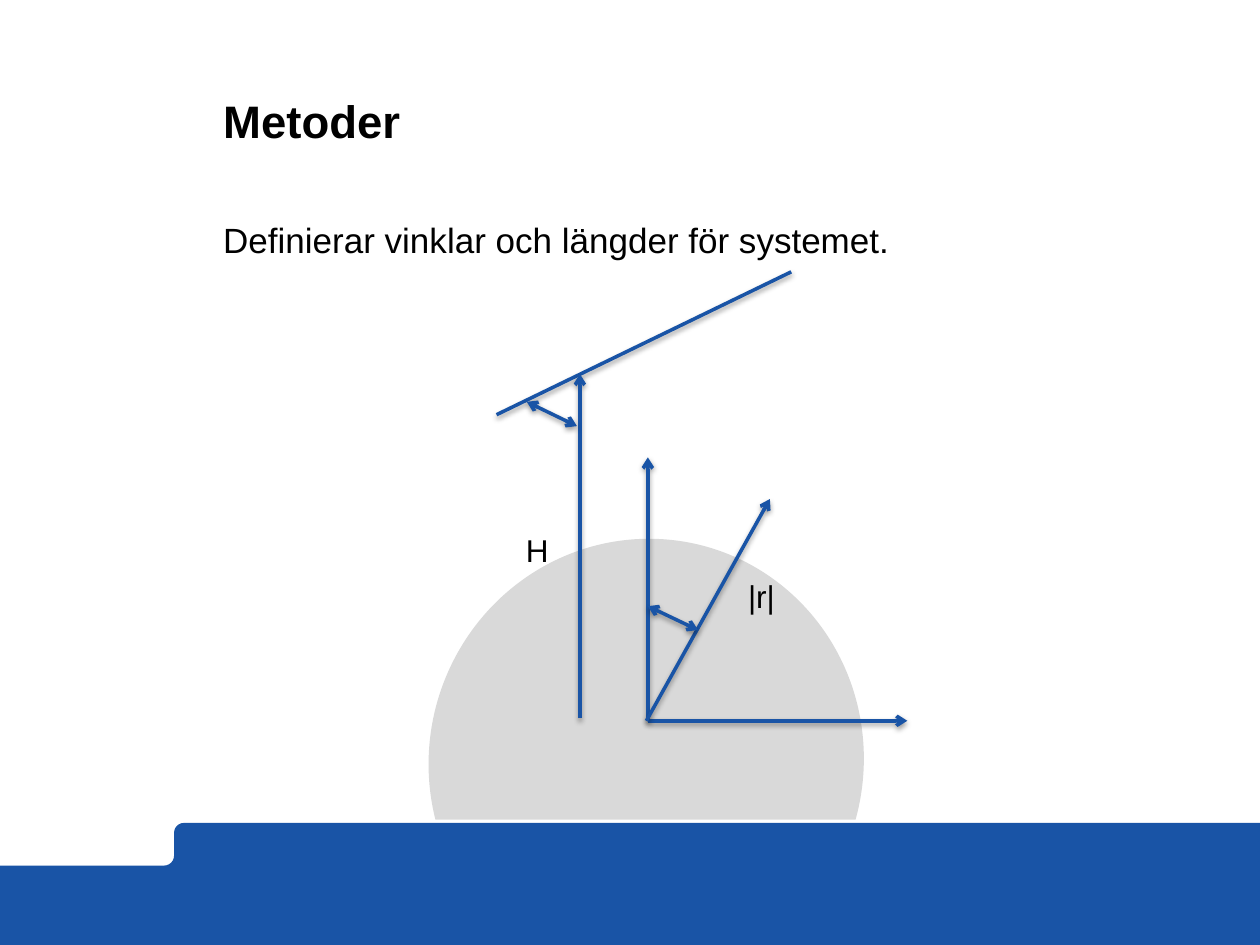
import math

import pptx
import pptx.dml.color
import pptx.enum.shapes
import pptx.enum.text
import pptx.oxml
import pptx.oxml.ns
import pptx.util
from pptx.util import Cm

BLUE, GREY, BLACK = "1954A6", "D9D9D9", "000000"
NAMESPACE = pptx.oxml.ns.nsdecls("a")
SHADOW = (
    f'<a:effectLst {NAMESPACE}><a:outerShdw blurRad="39400" dist="20300" dir="5400000" '
    'rotWithShape="0"><a:srgbClr val="000000"><a:alpha val="38000"/></a:srgbClr>'
    '</a:outerShdw></a:effectLst>'
)


def colour(value):
    return pptx.dml.color.RGBColor.from_string(value)


def write(box, text, frame_format, font_format):
    frame = box.text_frame
    for name, value in frame_format.items():
        setattr(frame, name, value)
    para = frame.paragraphs[0]
    para.alignment = pptx.enum.text.PP_ALIGN.LEFT
    span = para.add_run()
    span.text = text
    for name, value in font_format.items():
        setattr(span.font, name, value)
    span.font.color.rgb = colour(BLACK)
    return para


deck = pptx.Presentation()
deck.slide_width, deck.slide_height = Cm(25.4), Cm(19.05)
page = deck.slides.add_slide(deck.slide_layouts[5])
shapes = page.shapes

# Footer band with a rounded step
outline = [(25.4, 16.59), (25.4, 19.05), (0, 19.05), (0, 17.45)]
radius, step = 0.2, 3.51
corners = [(step - radius, 17.45 - radius, 90, 0), (step + radius, 16.59 + radius, 180, 270)]
for x, y, start, end in corners:
    for part in range(7):
        angle = math.radians(start + (end - start) * part / 6)
        outline.append((x + radius * math.cos(angle), y + radius * math.sin(angle)))
points = [(Cm(x), Cm(y)) for x, y in outline]
builder = shapes.build_freeform(*points[0])
builder.add_line_segments(points[1:], close=True)
band = builder.convert_to_shape()

# Grey disc, cut off by a level chord just above the band
disc = shapes.add_shape(pptx.enum.shapes.MSO_SHAPE.CHORD, Cm(8.53), Cm(10.97), Cm(8.99), Cm(8.76))
disc.rotation = 104.9
for index, degrees in enumerate((59.63, 270.65)):
    disc.adjustments[index] = degrees * 0.6  # 60000 units a degree, stored per 100000

for shape, fill in ((band, BLUE), (disc, GREY)):
    shape.shadow.inherit = False
    shape.fill.solid()
    shape.fill.fore_color.rgb = colour(fill)
    shape.line.fill.background()

# Title and statement
plain = {"margin_left": 0, "margin_right": 0, "margin_top": 0, "margin_bottom": 0,
         "word_wrap": True, "auto_size": pptx.enum.text.MSO_AUTO_SIZE.NONE}
title = shapes.title
title.left, title.top, title.width, title.height = Cm(4.5), Cm(1.12), Cm(19.28), Cm(1.85)
para = write(title, "Metoder", {**plain, "vertical_anchor": pptx.enum.text.MSO_ANCHOR.BOTTOM},
             {"name": "Arial", "size": pptx.util.Pt(26), "bold": True})
para.line_spacing = pptx.util.Pt(30)

statement = shapes.add_textbox(Cm(4.5), Cm(4.4), Cm(19.28), Cm(1.3))
write(statement, "Definierar vinklar och längder för systemet.", plain,
      {"name": "Arial", "size": pptx.util.Pt(20)})

# Lines: start, end, arrowheads
lines = [
    ((10.01, 8.36), (15.95, 5.48), ()),                        # sloping surface
    ((13.06, 14.53), (13.06, 9.22), ("tailEnd",)),             # vertical axis
    ((13.06, 14.53), (18.29, 14.53), ("tailEnd",)),            # horizontal axis
    ((13.03, 14.53), (15.52, 10.06), ("tailEnd",)),            # radius
    ((13.06, 12.22), (14.07, 12.7), ("headEnd", "tailEnd")),   # lower angle
    ((11.69, 14.48), (11.69, 7.54), ("tailEnd",)),             # height
    ((10.62, 8.1), (11.63, 8.59), ("headEnd", "tailEnd")),     # upper angle
]
for start, end, arrowheads in lines:
    line = shapes.add_connector(pptx.enum.shapes.MSO_CONNECTOR.STRAIGHT,
                                *map(Cm, start), *map(Cm, end))
    line.line.width = pptx.util.Pt(2)
    line.line.color.rgb = colour(BLUE)
    stroke = line.line._get_or_add_ln()
    for arrowhead in arrowheads:
        stroke.append(pptx.oxml.parse_xml(f'<a:{arrowhead} {NAMESPACE} type="arrow"/>'))
    line._element.spPr.append(pptx.oxml.parse_xml(SHADOW))

# Length labels
for text, left, top in (("|r|", 14.83, 11.5), ("H", 10.35, 10.59)):
    label = shapes.add_textbox(Cm(left), Cm(top), Cm(1.22), Cm(1.02))
    write(label, text, {"word_wrap": True}, {"name": "Arial", "size": pptx.util.Pt(18)})

deck.save("out.pptx")
